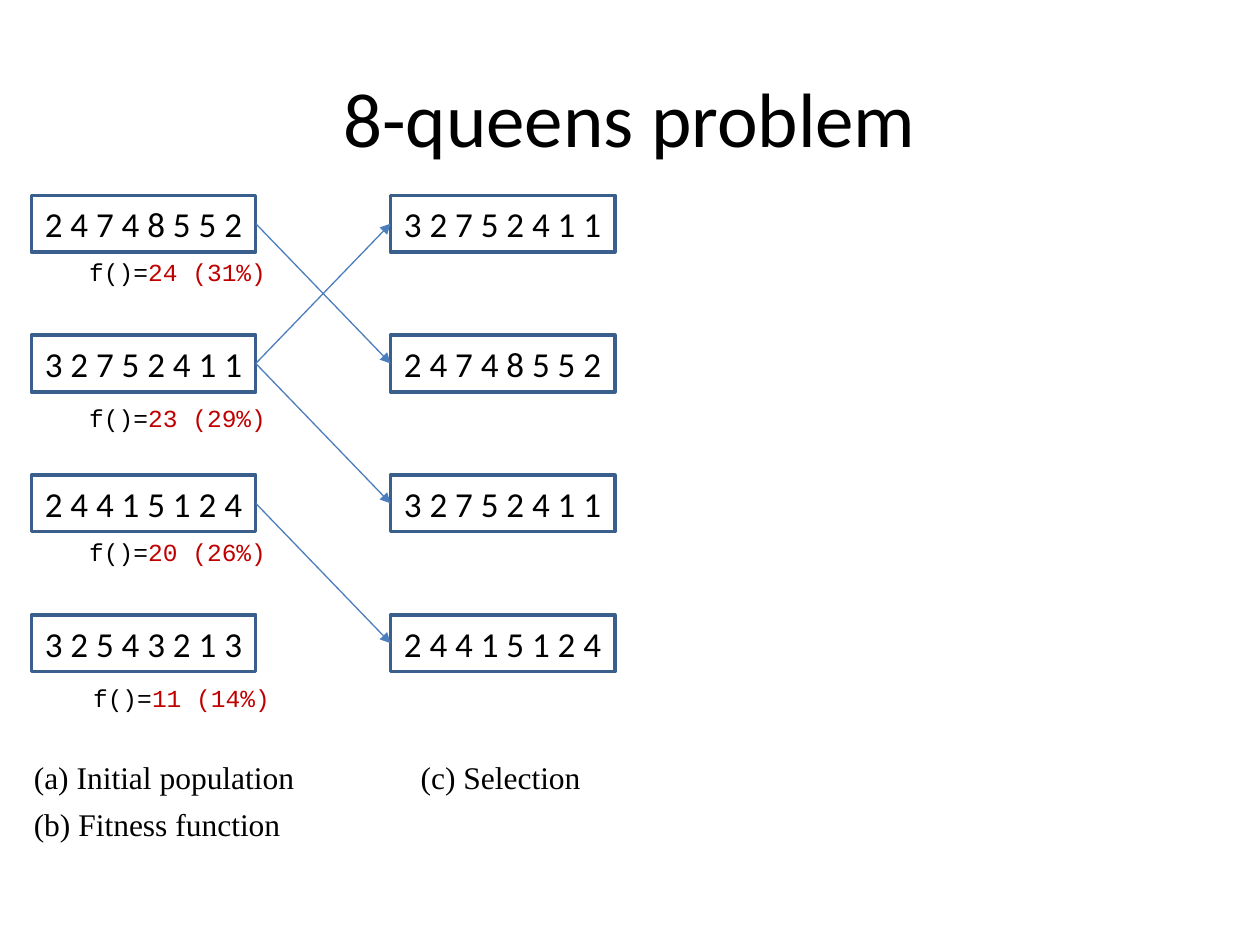
from dataclasses import dataclass

from lxml import etree
from pptx import Presentation
from pptx.dml.color import RGBColor
from pptx.enum.shapes import MSO_CONNECTOR, MSO_SHAPE
from pptx.enum.text import MSO_ANCHOR, PP_ALIGN
from pptx.oxml.ns import qn
from pptx.util import Inches, Pt

RECTANGLE = MSO_SHAPE.RECTANGLE
STRAIGHT = MSO_CONNECTOR.STRAIGHT
MIDDLE, TOP = MSO_ANCHOR.MIDDLE, MSO_ANCHOR.TOP
CENTER, LEFT = PP_ALIGN.CENTER, PP_ALIGN.LEFT
LEFT_SITE, RIGHT_SITE = 1, 3  # connection sites of a rectangle


@dataclass(frozen=True)
class Theme:
    ink: RGBColor = RGBColor.from_string("000000")
    accent: RGBColor = RGBColor.from_string("C00000")
    border: RGBColor = RGBColor.from_string("3A5F8C")
    arrow: RGBColor = RGBColor.from_string("4B7EBC")
    body_font: str = "Calibri"
    code_font: str = "Courier New"
    caption_font: str = "Times New Roman"
    title_size: int = 44
    state_size: int = 20
    caption_size: int = 18
    fitness_size: int = 14


THEME = Theme()

# Grid of states, in inches
SLIDE_WIDTH, SLIDE_HEIGHT = 10, 7.5
COLUMN_LEFTS = (0.25, 3.1)
FIRST_ROW, ROW_PITCH = 1.55, 1.11
STATE_WIDTH, STATE_HEIGHT = 1.78, 0.45

POPULATION = ["2 4 7 4 8 5 5 2", "3 2 7 5 2 4 1 1", "2 4 4 1 5 1 2 4", "3 2 5 4 3 2 1 3"]
SELECTED_ROWS = [1, 0, 1, 2]  # population row chosen for each selection row
# Value, and its offset from the left and top of its state
FITNESS = [
    ("24 (31%)", 0.36, 0.44),
    ("23 (29%)", 0.36, 0.49),
    ("20 (26%)", 0.36, 0.44),
    ("11 (14%)", 0.39, 0.49),
]
CAPTIONS = [
    ("(a) Initial population", (0.17, 5.97, 2.29, 0.4)),
    ("(b) Fitness function", (0.17, 6.34, 2.24, 0.4)),
    ("(c) Selection", (3.24, 5.97, 1.49, 0.4)),
]


def write_text(shape, parts, font, size, align=LEFT, anchor=TOP, wrap=False):
    """Write (text, colour) parts as the runs of one paragraph."""
    text_frame = shape.text_frame
    text_frame.word_wrap = wrap
    text_frame.vertical_anchor = anchor
    paragraph = text_frame.paragraphs[0]
    paragraph.alignment = align
    for text, color in parts:
        run = paragraph.add_run()
        run.text = text
        run.font.name = font
        run.font.size = Pt(size)
        run.font.color.rgb = color


def add_text(slide, box, parts, font, size, **layout):
    shape = slide.shapes.add_textbox(*map(Inches, box))
    write_text(shape, parts, font, size, **layout)


def add_title(slide, box):
    add_text(slide, box, [("8-queens problem", THEME.ink)], THEME.body_font,
             THEME.title_size, align=CENTER, anchor=MIDDLE, wrap=True)


def add_state(slide, box, digits):
    shape = slide.shapes.add_shape(RECTANGLE, *map(Inches, box))
    shape.shadow.inherit = False
    shape.fill.background()
    shape.line.color.rgb = THEME.border
    shape.line.width = Pt(2)
    write_text(shape, [(digits, THEME.ink)], THEME.body_font, THEME.state_size,
               align=CENTER, anchor=MIDDLE)
    return shape


def add_state_column(slide, left, states):
    return [
        add_state(slide, (left, FIRST_ROW + row * ROW_PITCH, STATE_WIDTH, STATE_HEIGHT), digits)
        for row, digits in enumerate(states)
    ]


def add_fitness(slide, left):
    for row, (value, indent, drop) in enumerate(FITNESS):
        box = (left + indent, FIRST_ROW + row * ROW_PITCH + drop, 1.61, 0.34)
        add_text(slide, box, [("f()=", THEME.ink), (value, THEME.accent)],
                 THEME.code_font, THEME.fitness_size)


def add_arrow(slide, source, target):
    connector = slide.shapes.add_connector(STRAIGHT, 0, 0, 0, 0)
    connector.begin_connect(source, RIGHT_SITE)
    connector.end_connect(target, LEFT_SITE)
    connector.line.color.rgb = THEME.arrow
    connector.line.width = Pt(0.75)
    etree.SubElement(connector.line._get_or_add_ln(), qn("a:tailEnd"), type="triangle")
    etree.SubElement(connector._element.spPr, qn("a:effectLst"))


def add_captions(slide):
    for text, box in CAPTIONS:
        add_text(slide, box, [(text, THEME.ink)], THEME.caption_font, THEME.caption_size)


def main():
    presentation = Presentation()
    presentation.slide_width = Inches(SLIDE_WIDTH)
    presentation.slide_height = Inches(SLIDE_HEIGHT)
    slide = presentation.slides.add_slide(presentation.slide_layouts[6])

    add_title(slide, (0.05 * SLIDE_WIDTH, 0.04 * SLIDE_HEIGHT, 0.9 * SLIDE_WIDTH, 1.25))

    # Initial population with its fitness
    population_left, selection_left = COLUMN_LEFTS
    population = add_state_column(slide, population_left, POPULATION)
    add_fitness(slide, population_left)

    # Selection, linked to the population
    selection = add_state_column(slide, selection_left, [POPULATION[row] for row in SELECTED_ROWS])
    for row, target in zip(SELECTED_ROWS, selection):
        add_arrow(slide, population[row], target)

    add_captions(slide)
    presentation.save("out.pptx")


if __name__ == "__main__":
    main()
